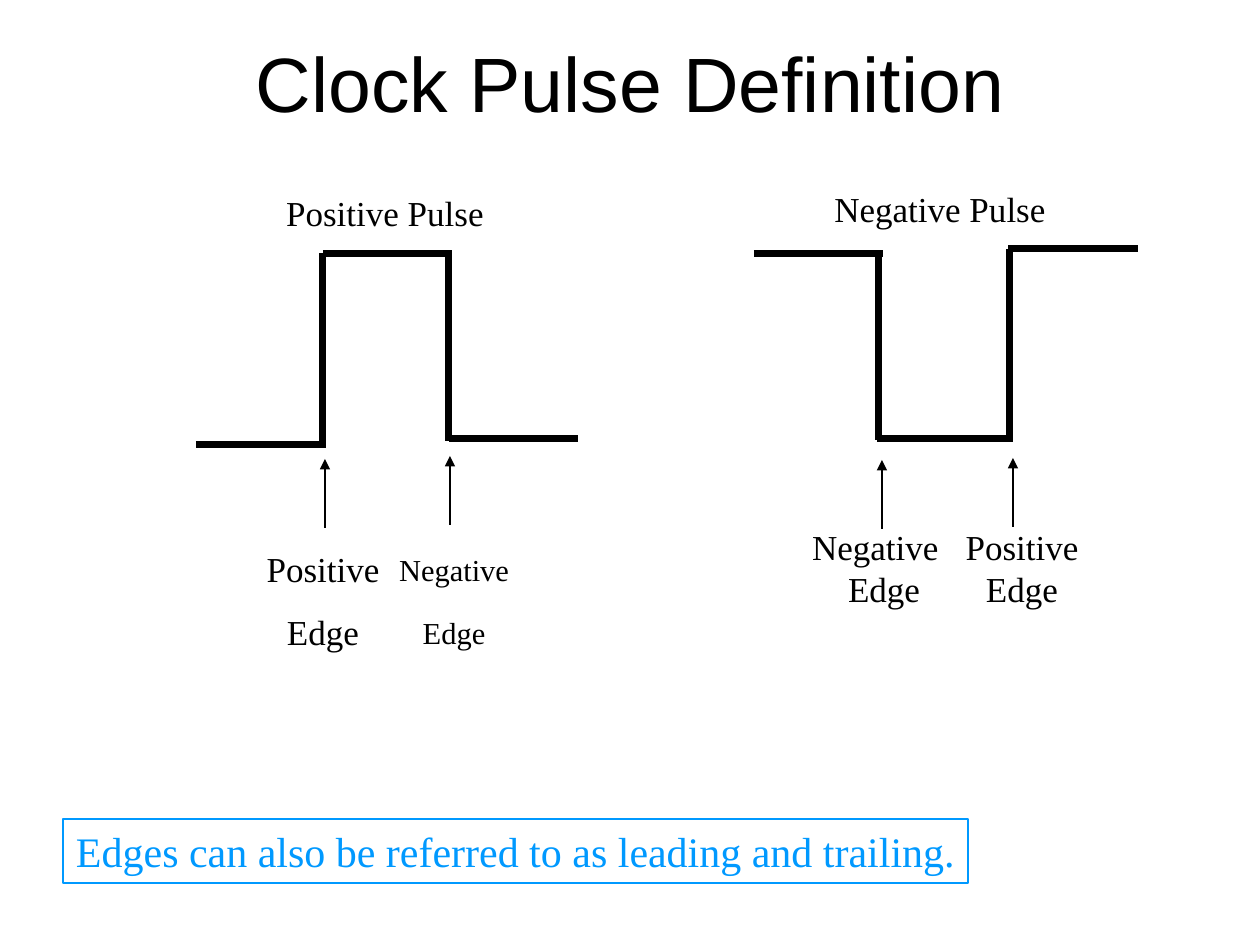
from lxml import etree
from pptx import Presentation
from pptx import util as u
from pptx.dml.color import RGBColor
from pptx.enum import shapes, text
from pptx.oxml.ns import qn

PX = u.Inches(1) // 126
BLACK, BLUE = "000000", "0099FF"


def color(hex_code):
    return RGBColor.from_string(hex_code)


def write(box, content, font="Times New Roman", size=20, ink=BLACK,
          align=text.PP_ALIGN.CENTER, anchor=text.MSO_ANCHOR.TOP,
          spacing=None, second_indent=0, left=0, top=0):
    """Fill a shape with one paragraph per line of content."""
    frame = box.text_frame
    frame.word_wrap = True
    frame.vertical_anchor = anchor
    frame.margin_left, frame.margin_top = left * PX, top * PX
    frame.margin_right = frame.margin_bottom = 0
    for index, line in enumerate(content.split("\n")):
        para = frame.add_paragraph() if index else frame.paragraphs[0]
        para.alignment = align
        if spacing:
            para.line_spacing = u.Pt(spacing)
        if index and second_indent:
            para._p.get_or_add_pPr().set("marL", str(second_indent * PX))
        span = para.add_run()
        span.text = line
        span.font.name, span.font.size = font, u.Pt(size)
        span.font.color.rgb = color(ink)


class Slide:
    """Draws on one blank page, with lengths in px."""

    def __init__(self, deck):
        self.page = deck.slides.add_slide(deck.slide_layouts[6])

    def label(self, content, x, y, width, height, **style):
        box = self.page.shapes.add_textbox(x * PX, y * PX, width * PX, height * PX)
        write(box, content, **style)

    def framed_note(self, content, x, y, width, height, **style):
        box = self.page.shapes.add_shape(
            shapes.MSO_SHAPE.RECTANGLE, x * PX, y * PX, width * PX, height * PX)
        box.shadow.inherit = False
        box.fill.background()
        box.line.color.rgb = color(BLUE)
        box.line.width = u.Pt(0.75)
        write(box, content, ink=BLUE, **style)

    def line(self, x1, y1, x2, y2, weight=4):
        link = self.page.shapes.add_connector(
            shapes.MSO_CONNECTOR.STRAIGHT, x1 * PX, y1 * PX, x2 * PX, y2 * PX)
        link.line.color.rgb = color(BLACK)
        link.line.width = u.Pt(weight)
        etree.SubElement(link._element.spPr, qn("a:effectLst"))
        return link

    def levels(self, first, second):
        """Draw two separate strokes as one outline."""
        x, y = first[:2]
        builder = self.page.shapes.build_freeform(x, y, scale=PX)
        builder.add_line_segments([first[2:]], close=False)
        builder.move_to(*second[:2])
        builder.add_line_segments([second[2:]], close=False)
        outline = builder.convert_to_shape()
        outline.shadow.inherit = False
        outline.fill.background()
        outline.line.color.rgb = color(BLACK)
        outline.line.width = u.Pt(4)

    def edge_arrow(self, x, tip):
        arrow = self.line(x, tip + 69, x, tip, weight=1)
        etree.SubElement(arrow.line._get_or_add_ln(), qn("a:tailEnd"),
                         type="triangle", w="med", len="med")


def main():
    deck = Presentation()
    deck.slide_width, deck.slide_height = u.Inches(10), u.Inches(7.5)
    slide = Slide(deck)
    bottom = text.MSO_ANCHOR.BOTTOM

    slide.label("Clock Pulse Definition", 254, 32, 753, 96,
                font="Arial", size=44, anchor=bottom)
    slide.framed_note("Edges can also be referred to as leading and trailing.",
                      63, 819, 905, 64, size=24, left=13,
                      align=text.PP_ALIGN.LEFT, anchor=text.MSO_ANCHOR.MIDDLE)

    # Positive pulse
    slide.levels((196, 445, 326, 445), (323, 254, 452, 254))
    slide.line(323, 253, 323, 443)
    slide.line(449, 253, 449, 441)
    slide.line(449, 439, 578, 439)
    # Negative pulse
    slide.levels((877, 439, 1013, 439), (754, 254, 883, 254))
    slide.line(879, 251, 879, 440)
    slide.levels((1008, 249, 1138, 249), (1010, 439, 1010, 249))

    for x, tip in [(325, 459), (450, 456), (882, 460), (1013, 458)]:
        slide.edge_arrow(x, tip)

    slide.label("Positive Pulse", 280, 188, 210, 45, anchor=bottom)
    slide.label("Negative Pulse", 830, 185, 220, 45, anchor=bottom)
    slide.label("Positive\nEdge", 258, 527, 130, 126, spacing=36)
    slide.label("Negative\nEdge", 389, 525, 130, 126, spacing=36, size=17.4)
    slide.label("Negative\nEdge", 812, 526, 130, 84, spacing=24,
                align=text.PP_ALIGN.LEFT, second_indent=36)
    slide.label("Positive\nEdge", 957, 526, 130, 84, spacing=24)
    deck.save("out.pptx")


if __name__ == "__main__":
    main()
